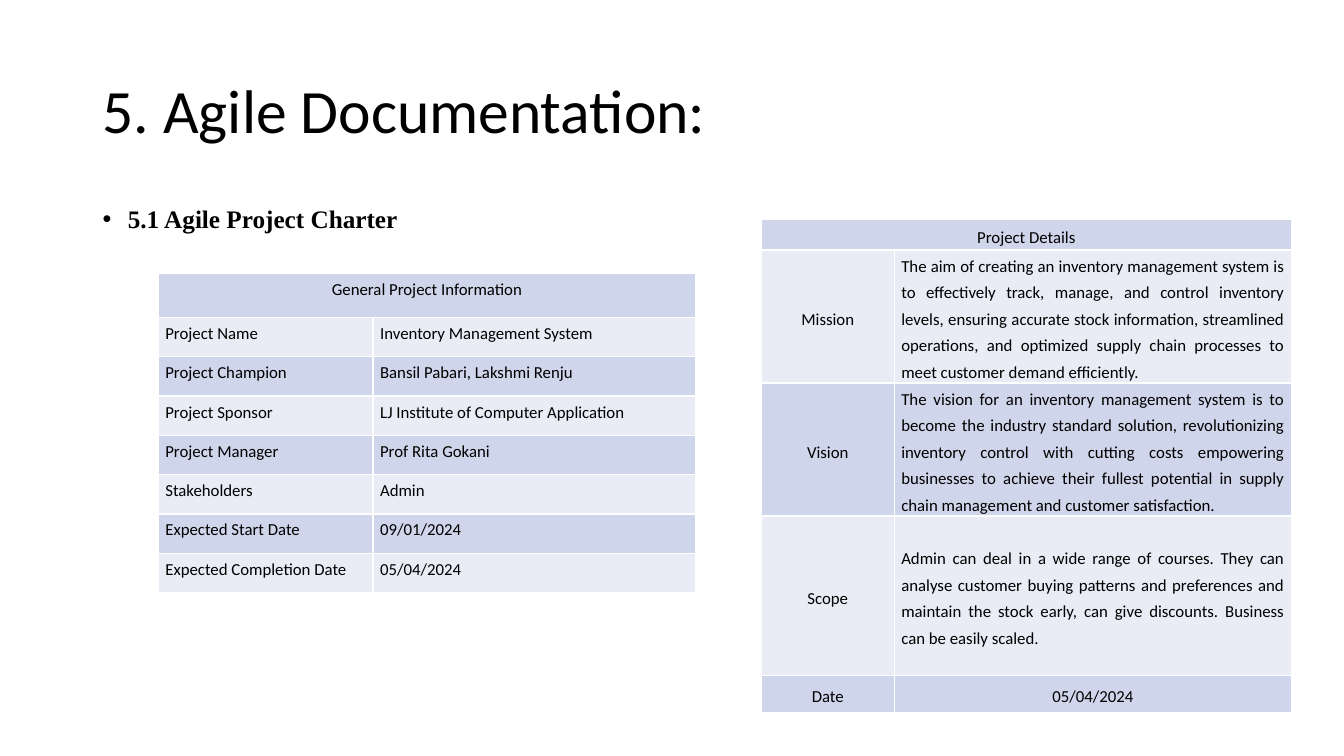
from dataclasses import dataclass

from lxml.etree import SubElement
from pptx import Presentation
from pptx.dml.color import RGBColor
from pptx.enum.text import MSO_ANCHOR as Anchor, PP_ALIGN as Align
from pptx.oxml.ns import qn
from pptx.util import Emu, Pt

PX = 9144  # EMU per px, 100 px to the inch

COLORS = {
    "text": "000000",
    "border": "FFFFFF",
    "band_dark": "CFD5EA",
    "band_light": "E9EBF5",
}


@dataclass
class Entry:
    text: str
    align: Align = Align.LEFT
    after: int = 8


@dataclass
class Grid:
    left: int
    top: int
    columns: list[int]
    rows: list[int]
    anchor: Anchor
    heading: str
    body: list[tuple[Entry, Entry]]


@dataclass
class Heading:
    text: str
    box: tuple[int, int, int, int]
    anchor: Anchor
    font: str
    size: int
    bold: bool = False
    bullet: bool = False


def px(value: int) -> Emu:
    return Emu(value * PX)


def rgb(name: str) -> RGBColor:
    return RGBColor.from_string(COLORS[name])


def set_all(target, values: dict) -> None:
    for name, value in values.items():
        setattr(target, name, value)


def style_font(font, name: str, size: int, bold: bool = False) -> None:
    set_all(font, {"name": name, "size": Pt(size), "bold": bold})
    font.color.rgb = rgb("text")


def add_heading(page, heading: Heading) -> None:
    box = page.shapes.add_textbox(*map(px, heading.box))
    set_all(box.text_frame, {"word_wrap": True, "vertical_anchor": heading.anchor})
    para = box.text_frame.paragraphs[0]
    para.line_spacing = 0.9
    if heading.bullet:
        properties = para._p.get_or_add_pPr()
        properties.set("marL", str(px(25)))
        properties.set("indent", str(px(-25)))
        SubElement(properties, qn("a:buFont"), typeface="Arial")
        SubElement(properties, qn("a:buChar"), char="•")
    span = para.add_run()
    span.text = heading.text
    style_font(span.font, heading.font, heading.size, heading.bold)


def add_borders(cell) -> None:
    properties = cell._tc.get_or_add_tcPr()
    for side in ("lnL", "lnR", "lnT", "lnB"):
        line = SubElement(properties, qn(f"a:{side}"), w=str(Pt(1)))
        fill = SubElement(line, qn("a:solidFill"))
        SubElement(fill, qn("a:srgbClr"), val=COLORS["border"])


def fill_cell(cell, entry: Entry, anchor: Anchor) -> None:
    set_all(cell, {
        "margin_left": px(7), "margin_right": px(7),
        "margin_top": 0, "margin_bottom": 0, "vertical_anchor": anchor,
    })
    para = cell.text_frame.paragraphs[0]
    set_all(para, {"alignment": entry.align, "line_spacing": 1.3,
                   "space_after": Pt(entry.after)})
    span = para.add_run()
    span.text = entry.text
    style_font(span.font, "Calibri", 12)


def add_grid(page, grid: Grid) -> None:
    frame = page.shapes.add_table(
        len(grid.rows), len(grid.columns), px(grid.left), px(grid.top),
        px(sum(grid.columns)), px(sum(grid.rows)))
    table = frame.table
    set_all(table, {"first_row": False, "horz_banding": False})
    for column, width in zip(table.columns, grid.columns):
        column.width = px(width)

    # Bands and borders
    for index, (row, height) in enumerate(zip(table.rows, grid.rows)):
        row.height = px(height)
        for cell in row.cells:
            add_borders(cell)
            cell.fill.solid()
            cell.fill.fore_color.rgb = rgb("band_light" if index % 2 else "band_dark")

    # Wording
    table.cell(0, 0).merge(table.cell(0, 1))
    fill_cell(table.cell(0, 0), Entry(grid.heading, Align.CENTER), grid.anchor)
    for index, entries in enumerate(grid.body, start=1):
        for column, entry in enumerate(entries):
            fill_cell(table.cell(index, column), entry, grid.anchor)


HEADINGS = [
    Heading("5. Agile Documentation:", (92, 40, 1150, 145), Anchor.MIDDLE,
            "Calibri", 44),
    Heading("5.1 Agile Project Charter", (92, 200, 1150, 476), Anchor.TOP,
            "Times New Roman", 18, bold=True, bullet=True),
]

GENERAL = [
    ("Project Name", "Inventory Management System"),
    ("Project Champion", "Bansil Pabari, Lakshmi Renju"),
    ("Project Sponsor", "LJ Institute of Computer Application"),
    ("Project Manager", "Prof Rita Gokani"),
    ("Stakeholders", "Admin"),
    ("Expected Start Date", "09/01/2024"),
    ("Expected Completion Date", "05/04/2024"),
]

DETAILS = [
    ("Mission", Entry(
        "The aim of creating an inventory management system is to effectively "
        "track, manage, and control inventory levels, ensuring accurate stock "
        "information, streamlined operations, and optimized supply chain "
        "processes to meet customer demand efficiently.", Align.JUSTIFY)),
    ("Vision", Entry(
        "The vision for an inventory management system is to become the industry "
        "standard solution, revolutionizing inventory control with cutting costs "
        "empowering businesses to achieve their fullest potential in supply chain "
        "management and customer satisfaction.", Align.JUSTIFY)),
    ("Scope", Entry(
        "Admin can deal in a wide range of courses. They can analyse customer "
        "buying patterns and preferences and maintain the stock early, can give "
        "discounts. Business can be easily scaled.", Align.JUSTIFY, after=14)),
    ("Date", Entry("05/04/2024", Align.CENTER)),
]

GRIDS = [
    Grid(157, 271, [213, 320], [44] + [39] * len(GENERAL), Anchor.TOP,
         "General Project Information",
         [(Entry(label), Entry(value)) for label, value in GENERAL]),
    Grid(755, 218, [132, 394], [30, 132, 132, 158, 37], Anchor.MIDDLE,
         "Project Details",
         [(Entry(label, Align.CENTER), entry) for label, entry in DETAILS]),
]


def main() -> None:
    deck = Presentation()
    set_all(deck, {"slide_width": px(1333), "slide_height": px(750)})
    page = deck.slides.add_slide(deck.slide_layouts[6])
    for heading in HEADINGS:
        add_heading(page, heading)
    for grid in GRIDS:
        add_grid(page, grid)
    deck.save("out.pptx")


if __name__ == "__main__":
    main()
